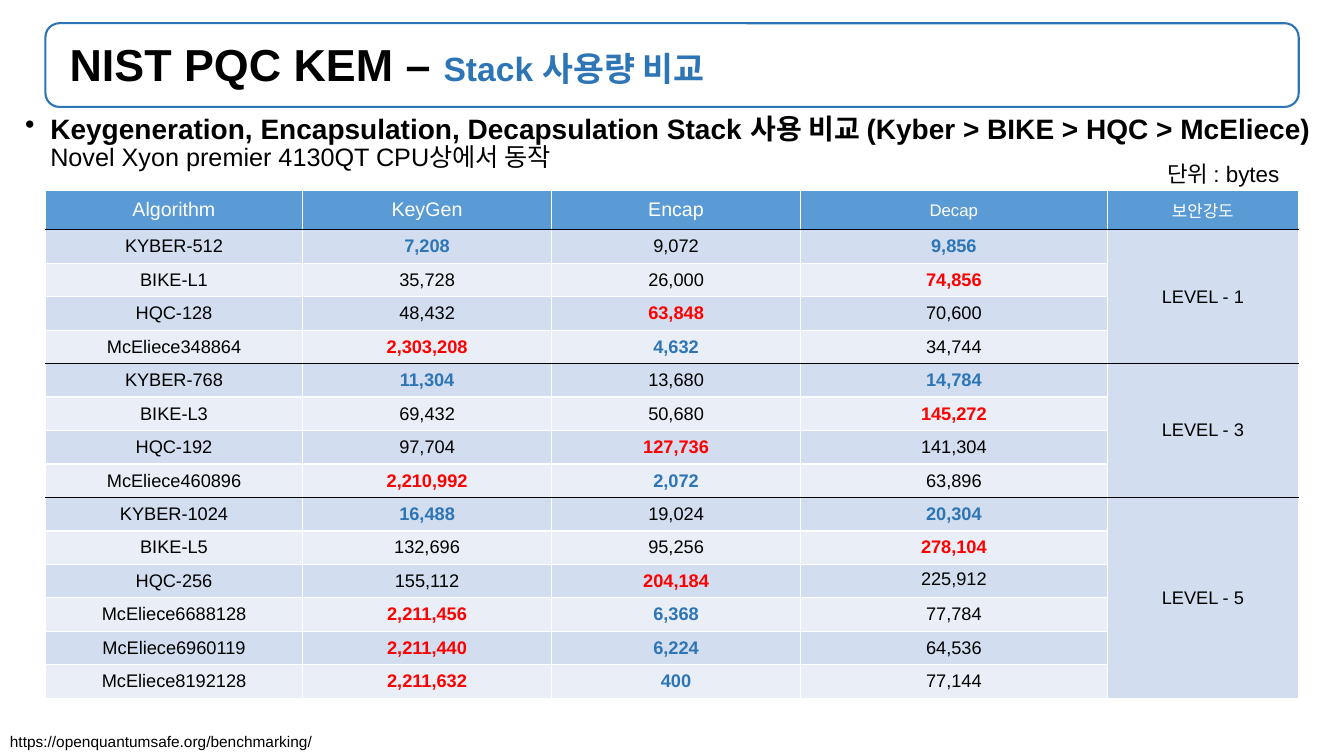
import pptx
import pptx.util
import pptx.dml.color
import pptx.enum.shapes
import pptx.enum.text
import pptx.oxml
from lxml import etree

Pt = pptx.util.Pt
Anchor = pptx.enum.text.MSO_ANCHOR
BLUE, RED, BLACK, WHITE = "2E75B6", "FF0000", "000000", "FFFFFF"
HEAD, DARK, LIGHT = "5B9BD5", "D2DEEF", "EAEFF7"

deck = pptx.Presentation()
deck.slide_width = pptx.util.Inches(13.33)
deck.slide_height = pptx.util.Inches(7.5)
slide = deck.slides.add_slide(deck.slide_layouts[6])


def place(left, top, width, height):
    """Turn percentages of the slide's size into lengths."""
    wide, high = deck.slide_width / 100, deck.slide_height / 100
    return [int(left * wide), int(top * high), int(width * wide), int(height * high)]


def style(font, size, color, bold=False):
    font.name, font.size, font.bold = "Arial", Pt(size), bold
    font.color.rgb = pptx.dml.color.RGBColor.from_string(color)


# Title frame
frame = slide.shapes.add_shape(
    pptx.enum.shapes.MSO_SHAPE.ROUNDED_RECTANGLE, *place(3.38, 3.07, 93.25, 11.07))
frame.shadow.inherit = False
frame.fill.background()
frame.line.color.rgb = pptx.dml.color.RGBColor.from_string(BLUE)
frame.line.width = Pt(1.5)
frame.text_frame.margin_left = pptx.util.Inches(0.2)
frame.text_frame.margin_top = pptx.util.Inches(0.09)
frame.text_frame.word_wrap = True
frame.text_frame.vertical_anchor = Anchor.MIDDLE
title = frame.text_frame.paragraphs[0]
title.alignment = pptx.enum.text.PP_ALIGN.LEFT
title.line_spacing = 0.9
for text, size, color in [("NIST PQC KEM – ", 32, BLACK), ("Stack 사용량 비교", 24, BLUE)]:
    run = title.add_run()
    run.text = text
    style(run.font, size, color, True)

# Bullet with a second line
body = slide.shapes.add_textbox(*place(1.13, 14.53, 98.27, 9.33)).text_frame
body.word_wrap = True
body.margin_right = 0
point = body.paragraphs[0]
point.line_spacing = 0.9
props = point._p.get_or_add_pPr()
props.set("marL", "228600")
props.set("indent", "-228600")
bullet = etree.SubElement(props, pptx.oxml.ns.qn("a:buChar"))
bullet.set("char", "•")
run = point.add_run()
run.text = "Keygeneration, Encapsulation, Decapsulation Stack 사용 비교 (Kyber > BIKE > HQC > McEliece)"
style(run.font, 20, BLACK, True)
point.add_line_break()
run = point.add_run()
run.text = "Novel Xyon premier 4130QT CPU상에서 동작"
style(run.font, 18, BLACK)

# Stack use by level
heads = ["Algorithm", "KeyGen", "Encap", "Decap", "보안강도"]
levels = {
    "LEVEL - 1": [
        ("KYBER-512", "7,208", "9,072", "9,856"),
        ("BIKE-L1", "35,728", "26,000", "74,856"),
        ("HQC-128", "48,432", "63,848", "70,600"),
        ("McEliece348864", "2,303,208", "4,632", "34,744"),
    ],
    "LEVEL - 3": [
        ("KYBER-768", "11,304", "13,680", "14,784"),
        ("BIKE-L3", "69,432", "50,680", "145,272"),
        ("HQC-192", "97,704", "127,736", "141,304"),
        ("McEliece460896", "2,210,992", "2,072", "63,896"),
    ],
    "LEVEL - 5": [
        ("KYBER-1024", "16,488", "19,024", "20,304"),
        ("BIKE-L5", "132,696", "95,256", "278,104"),
        ("HQC-256", "155,112", "204,184", "225,912"),
        ("McEliece6688128", "2,211,456", "6,368", "77,784"),
        ("McEliece6960119", "2,211,440", "6,224", "64,536"),
        ("McEliece8192128", "2,211,632", "400", "77,144"),
    ],
}
# Best (blue) and worst (red) columns of each family
marks = {
    "KYB": {1: BLUE, 3: BLUE},
    "BIK": {3: RED},
    "HQC": {2: RED},
    "McE": {1: RED, 2: BLUE},
}
rows, starts = [heads], []
for level, group in levels.items():
    starts.append(len(rows))
    rows += [(*group[0], level)] + [(*line, "") for line in group[1:]]
ends = [start - 1 for start in starts]

grid = slide.shapes.add_table(
    len(rows), len(heads), *place(3.38, 25.2, 93.25, 5.2 + 4.43 * (len(rows) - 1))).table
for col, share in zip(grid.columns, [19.13, 18.53, 18.53, 22.81, 14.25]):
    col.width = int(share / 100 * deck.slide_width)
for r, line in enumerate(rows):
    grid.rows[r].height = int((4.43 if r else 5.2) / 100 * deck.slide_height)
    for c, text in enumerate(line):
        cell = grid.cell(r, c)
        cell.margin_left = cell.margin_right = pptx.util.Inches(0.13)
        cell.margin_top = cell.margin_bottom = pptx.util.Inches(0.05)
        cell.vertical_anchor = Anchor.TOP if text == "225,912" else Anchor.MIDDLE
        above = BLACK if r in starts else WHITE
        below = BLACK if r in ends or (c == 4 and 0 < r < ends[-1]) else WHITE
        for side, color in zip("LRTB", [WHITE, WHITE, above, below]):
            edge = etree.SubElement(
                cell._tc.get_or_add_tcPr(), pptx.oxml.ns.qn("a:ln" + side), w="12700")
            fill = etree.SubElement(edge, pptx.oxml.ns.qn("a:solidFill"))
            etree.SubElement(fill, pptx.oxml.ns.qn("a:srgbClr"), val=color)
        shade = HEAD if r == 0 else DARK if r % 2 or c == 4 else LIGHT
        cell.fill.solid()
        cell.fill.fore_color.rgb = pptx.dml.color.RGBColor.from_string(shade)
        cell.text = text
        para = cell.text_frame.paragraphs[0]
        para.alignment = pptx.enum.text.PP_ALIGN.CENTER
        if r == 0:
            style(para.font, 14 if c < 3 else 12, WHITE)
        else:
            mark = marks[line[0][:3]].get(c)
            style(para.font, 13, mark or BLACK, bool(mark))
for start, group in zip(starts, levels.values()):
    grid.cell(start, 4).merge(grid.cell(start + len(group) - 1, 4))

# Source and unit
for text, size, spot in [
    ("https://openquantumsafe.org/benchmarking/", 11, (0, 96.13, 24.08, 3.87)),
    ("단위 : bytes", 16, (86.12, 20.53, 10.35, 4.93)),
]:
    label = slide.shapes.add_textbox(*place(*spot)).text_frame
    label.word_wrap = False
    label.text = text
    style(label.paragraphs[0].font, size, BLACK)

deck.save("out.pptx")
